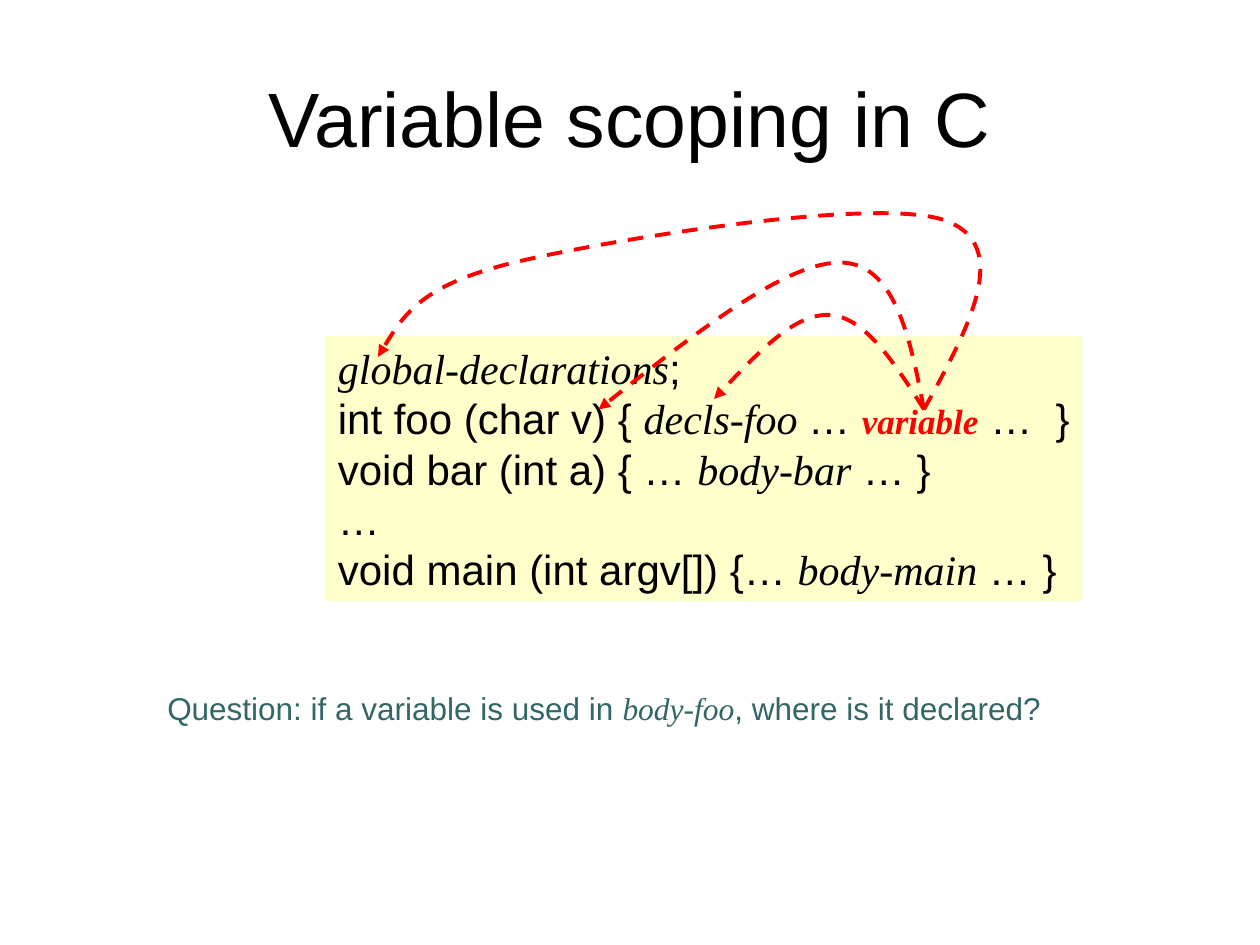
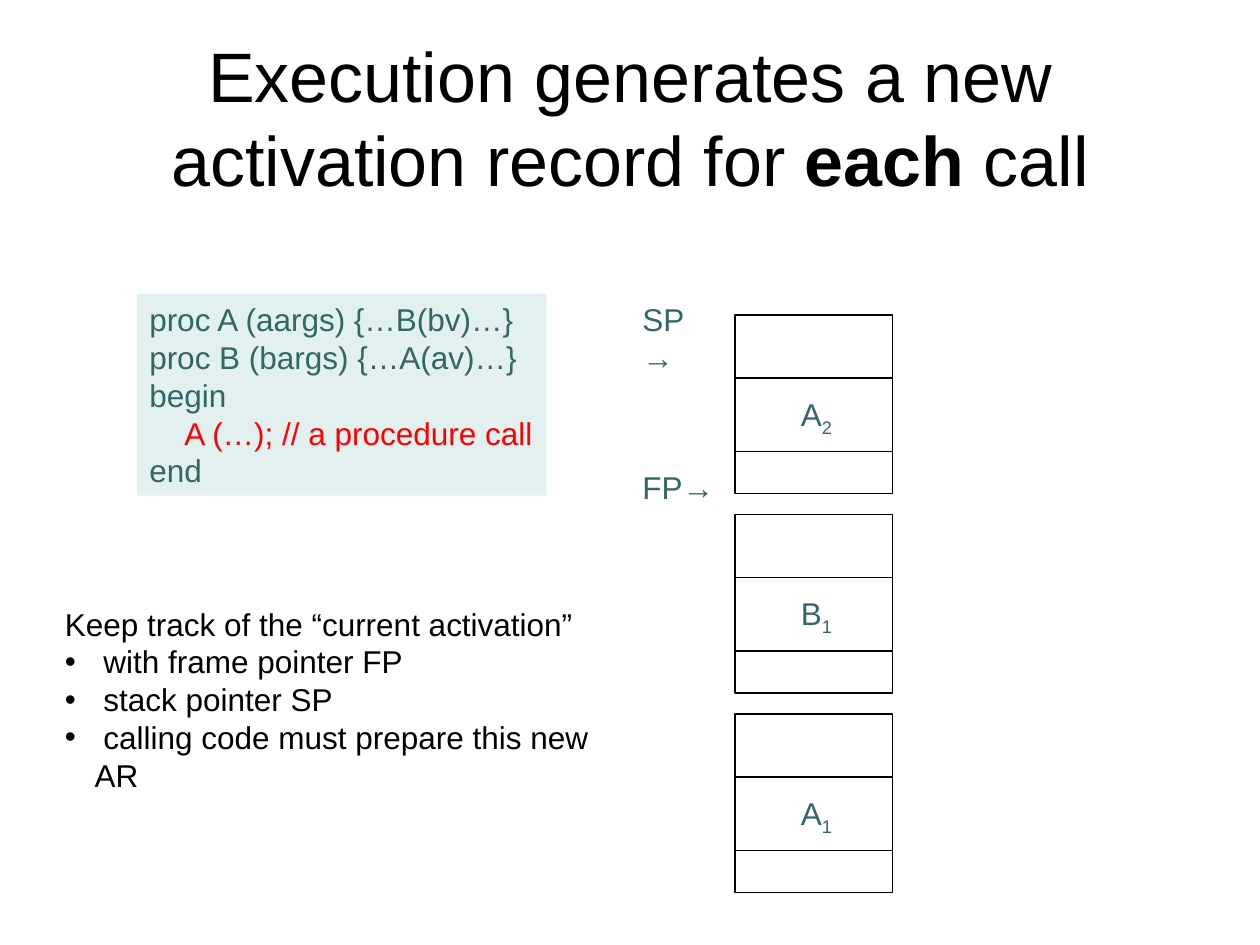
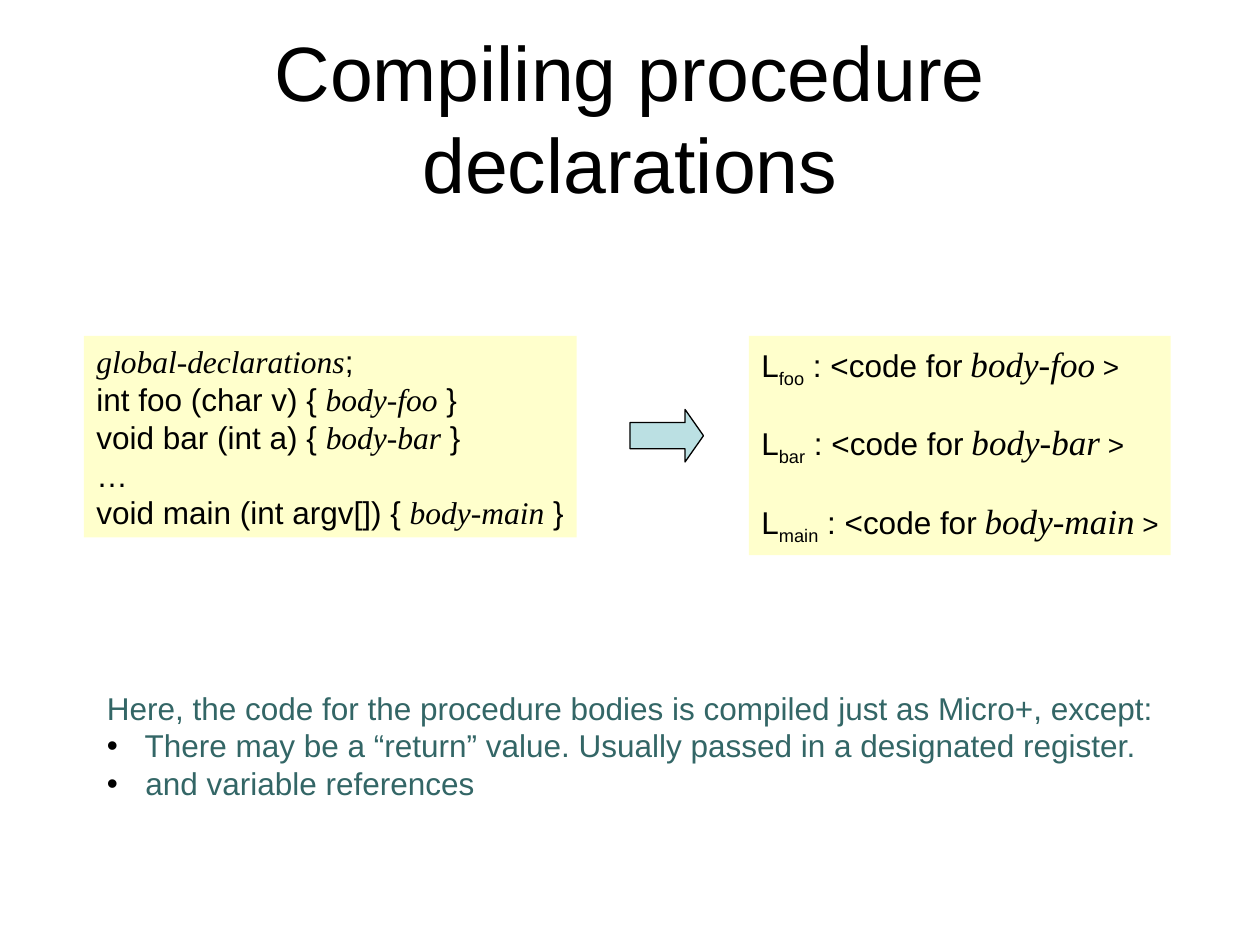
from dataclasses import dataclass

from lxml import etree
from pptx import Presentation
from pptx.dml.color import RGBColor
from pptx.enum.dml import MSO_LINE
from pptx.enum.shapes import MSO_CONNECTOR, MSO_SHAPE
from pptx.enum.text import MSO_ANCHOR, PP_ALIGN
from pptx.oxml.ns import qn
from pptx.util import Pt

RECTANGLE = MSO_SHAPE.RECTANGLE
RIGHT_ARROW = MSO_SHAPE.RIGHT_ARROW
STRAIGHT = MSO_CONNECTOR.STRAIGHT
DASH = MSO_LINE.DASH
TOP, MIDDLE = MSO_ANCHOR.TOP, MSO_ANCHOR.MIDDLE
LEFT, CENTER = PP_ALIGN.LEFT, PP_ALIGN.CENTER


@dataclass(frozen=True)
class Theme:
    sans: str = "Arial"
    serif: str = "Times New Roman"
    black: str = "000000"
    white: str = "FFFFFF"
    teal: str = "336666"
    red: str = "FF0000"
    cream: str = "FFFFCC"
    mint: str = "E2F0F0"
    aqua: str = "BBE0E3"
    title: int = 44
    long_title: int = 40
    large_code: int = 24
    emphasis: int = 20
    body: int = 18
    small: int = 16
    thin: float = 0.75
    thick: float = 2.25
    hanging: int = 17


THEME = Theme()
TITLE_BOX = (36, 21.6, 648, 90)


def rgb(value):
    return RGBColor.from_string(value)


def points(box):
    return [Pt(length) for length in box]


def term(text, **style):
    """Run for a placeholder name in the code, set in serif italics."""
    return text, {"font": THEME.serif, "italic": True, **style}


def subscript(text):
    return text, {"baseline": "-25000"}


def bullet(*runs):
    return {"runs": runs, "bullet": True}


def spaced(gap, *runs):
    return {"runs": runs, "before": gap}


def add_run(paragraph, text, size, color, font=THEME.sans, bold=False,
            italic=False, baseline=None):
    run = paragraph.add_run()
    run.text = text
    run.font.name = font
    run.font.size = Pt(size)
    run.font.bold = bold
    run.font.italic = italic
    run.font.color.rgb = rgb(color)
    if baseline:
        run._r.get_or_add_rPr().set("baseline", baseline)


def add_bullet(paragraph):
    properties = paragraph._p.get_or_add_pPr()
    properties.set("marL", str(Pt(THEME.hanging)))
    properties.set("indent", str(-Pt(THEME.hanging)))
    color = etree.SubElement(properties, qn("a:buClr"))
    etree.SubElement(color, qn("a:srgbClr"), val=THEME.black)
    etree.SubElement(properties, qn("a:buFont"), typeface=THEME.sans)
    etree.SubElement(properties, qn("a:buChar"), char="•")


def write(shape, lines, size=THEME.body, color=THEME.black, align=LEFT,
          anchor=TOP, wrap=False):
    """Fill a shape with lines; a line is a list of runs or a dict with runs."""
    frame = shape.text_frame
    frame.word_wrap = wrap
    frame.vertical_anchor = anchor
    for index, line in enumerate(lines):
        if not isinstance(line, dict):
            line = {"runs": line}
        paragraph = frame.paragraphs[0] if index == 0 else frame.add_paragraph()
        paragraph.alignment = align
        if "before" in line and index:
            paragraph.space_before = Pt(line["before"])
        if line.get("bullet"):
            add_bullet(paragraph)
        for run in line["runs"]:
            text, style = (run, {}) if isinstance(run, str) else run
            add_run(paragraph, text, **{"size": size, "color": color, **style})


def add_text(shapes, box, lines, **style):
    write(shapes.add_textbox(*points(box)), lines, **style)


def add_title(slide, *runs, size=THEME.title):
    add_text(slide.shapes, TITLE_BOX, [runs], size=size, align=CENTER,
             anchor=MIDDLE, wrap=True)


def add_filled(shapes, kind, box, fill, outlined=False):
    shape = shapes.add_shape(kind, *points(box))
    shape.shadow.inherit = False
    shape.fill.solid()
    shape.fill.fore_color.rgb = rgb(fill)
    if outlined:
        shape.line.color.rgb = rgb(THEME.black)
        shape.line.width = Pt(THEME.thin)
    else:
        shape.line.fill.background()
    return shape


def add_code_panel(slide, box, lines, fill=THEME.cream, **style):
    write(add_filled(slide.shapes, RECTANGLE, box, fill), lines, **style)


def add_scope_arrow(slide, origin, offsets):
    """Dashed Bezier arrow; offsets from origin come in threes per curve."""
    x, y = origin
    builder = slide.shapes.build_freeform(Pt(x), Pt(y))
    builder.add_line_segments([(Pt(x + dx), Pt(y + dy)) for dx, dy in offsets],
                              close=False)
    arrow = builder.convert_to_shape()
    arrow.shadow.inherit = False
    arrow.fill.background()
    arrow.line.color.rgb = rgb(THEME.red)
    arrow.line.width = Pt(THEME.thick)
    arrow.line.dash_style = DASH
    etree.SubElement(arrow.line._get_or_add_ln(), qn("a:tailEnd"), type="triangle")

    outline = next(arrow._element.iter(qn("a:path")))
    segments = outline.findall(qn("a:lnTo"))
    for start in range(0, len(segments), 3):
        curve = etree.SubElement(outline, qn("a:cubicBezTo"))
        for segment in segments[start:start + 3]:
            curve.append(segment[0])
            outline.remove(segment)


def add_activation_record(slide, box, procedure, call_number):
    left, top, width, height = box
    record = slide.shapes.add_group_shape().shapes
    add_filled(record, RECTANGLE, box, THEME.white, outlined=True)
    for divider in (36, 78):
        y = top + divider
        line = record.add_connector(
            STRAIGHT, *points((left, y, left + width, y)))
        line.line.color.rgb = rgb(THEME.black)
        line.line.width = Pt(THEME.thin)
        etree.SubElement(line._element.spPr, qn("a:effectLst"))
    add_text(record, (left + 30.5, top + 42, 32.4, 31.7),
             [[procedure, subscript(call_number)]], color=THEME.teal)


def add_stack(slide, box):
    left, top, width, height = box
    gap = 12
    calls = [("A", "2"), ("B", "1"), ("A", "1")]
    record_height = (height - gap * (len(calls) - 1)) / len(calls)
    for index, (procedure, number) in enumerate(calls):
        y = top + index * (record_height + gap)
        add_activation_record(slide, (left, y, width, record_height),
                              procedure, number)
    for pointer, offset in (("SP→", -12), ("FP→", 84)):
        add_text(slide.shapes, (left - 60, top + offset, 56, 28.8),
                 [[pointer]], color=THEME.teal)


def build_scoping(slide):
    add_title(slide, "Variable scoping in C")
    add_code_panel(slide, (186, 192, 432.5, 151.5), [
        [term("global-declarations"), ";"],
        ["int foo (char v) { ", term("decls-foo "), "… ",
         term("variable", size=THEME.emphasis, color=THEME.red, bold=True),
         " …  }"],
        ["void bar (int a) { … ", term("body-bar"), " … }"],
        ["…"],
        ["void main (int argv[]) {… ", term("body-main"), " … }"],
    ], size=THEME.large_code)
    add_text(slide.shapes, (88.5, 390, 513.5, 28.8), [
        ["Question: if a variable is used in ", term("body-foo"),
         ", where is it declared?"],
    ], color=THEME.teal)
    to_locals = [(-17, -27), (-34, -53), (-54, -54),
                 (-74, -55), (-97, -30), (-120, -6)]
    to_parameter = [(-8, -42), (-17, -84), (-48, -84),
                    (-79, -84), (-133, -42), (-186, 0)]
    to_globals = [(26, -47), (51, -94), (12, -108),
                  (-27, -122), (-180, -97), (-234, -84),
                  (-288, -71), (-300, -50), (-312, -30)]
    for offsets in (to_locals, to_parameter, to_globals):
        add_scope_arrow(slide, (528, 234), offsets)


def build_activation(slide):
    add_title(slide, "Execution generates a new activation record for ",
              ("each", {"bold": True}), " call", size=THEME.long_title)
    add_code_panel(slide, (78.2, 168, 234, 115.2), [
        ["proc A (aargs) {…B(bv)…}"],
        ["proc B (bargs) {…A(av)…}"],
        ["begin"],
        ["    ", ("A (…); // a procedure call", {"color": THEME.red})],
        ["end"],
    ], fill=THEME.mint, color=THEME.teal)
    add_stack(slide, (420, 180, 90, 330))
    add_text(slide.shapes, (30, 342, 332.6, 115.2), [
        ["Keep track of the “current activation”"],
        bullet(" with frame pointer FP"),
        bullet(" stack pointer SP"),
        bullet(" calling code must prepare this new AR"),
    ], wrap=True)


def compiled_body(name):
    return spaced(18.4, "L", subscript(name), " : <code for",
                  (" ", {"size": THEME.small}),
                  term(f"body-{name}", size=THEME.emphasis),
                  (" >", {"size": THEME.small}))


def build_compiling(slide):
    add_title(slide, "Compiling procedure declarations")
    add_code_panel(slide, (48, 192, 281.5, 115.2), [
        [term("global-declarations"), ";"],
        ["int foo (char v) { ", term("body-foo"), " }"],
        ["void bar (int a) { ", term("body-bar"), " }"],
        ["…"],
        ["void main (int argv[]) { ", term("body-main"), " }"],
    ])
    arrow = add_filled(slide.shapes, RIGHT_ARROW, (360, 234, 42, 30),
                       THEME.aqua, outlined=True)
    arrow.adjustments[0] = 0.5
    arrow.adjustments[1] = 0.35
    add_code_panel(slide, (428, 192, 241, 125.3),
                   [compiled_body(name) for name in ("foo", "bar", "main")])
    add_text(slide.shapes, (54, 390, 612, 72), [
        ["Here, the code for the procedure bodies is compiled just as Micro+, except:"],
        bullet(" There may be a “return” value. Usually passed in a designated register."),
        bullet(" and variable references"),
    ], color=THEME.teal)


def main():
    deck = Presentation()
    deck.slide_width, deck.slide_height = Pt(720), Pt(540)
    blank = deck.slide_layouts[6]
    for build in (build_scoping, build_activation, build_compiling):
        build(deck.slides.add_slide(blank))
    deck.save("out.pptx")


if __name__ == "__main__":
    main()
